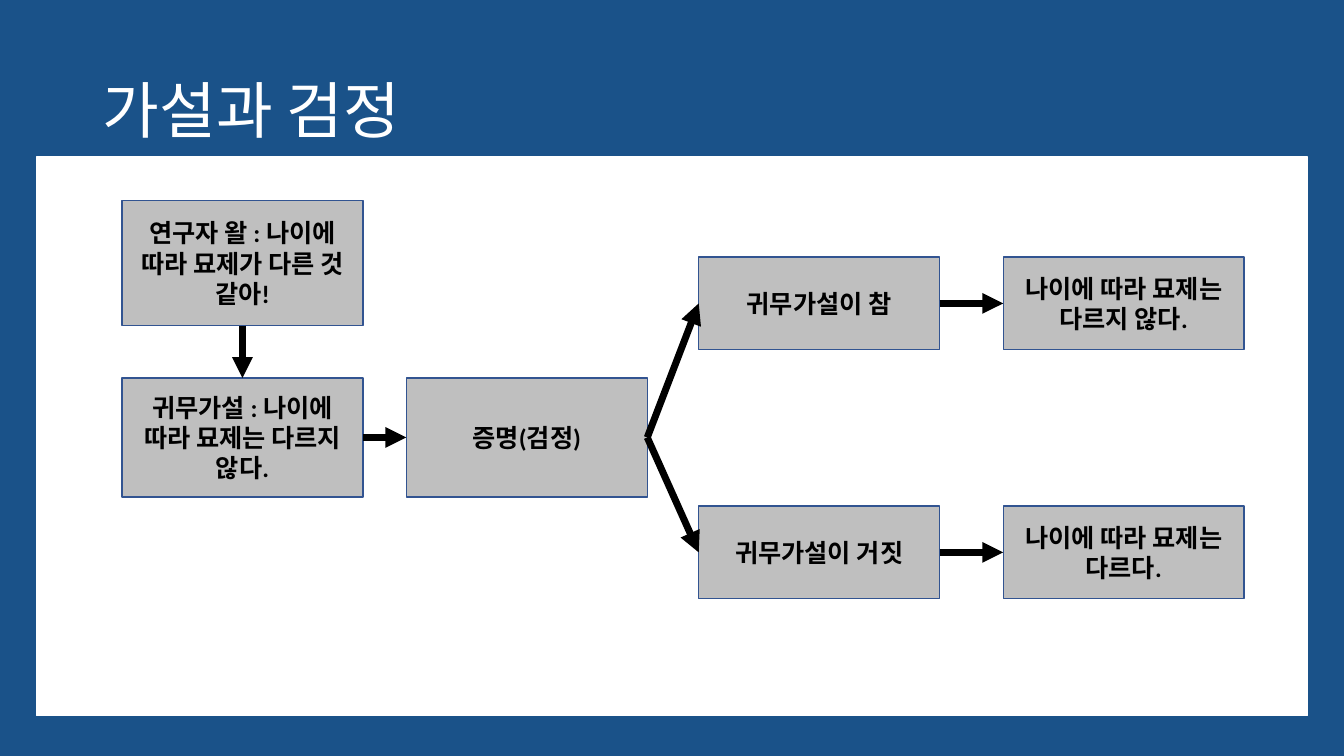
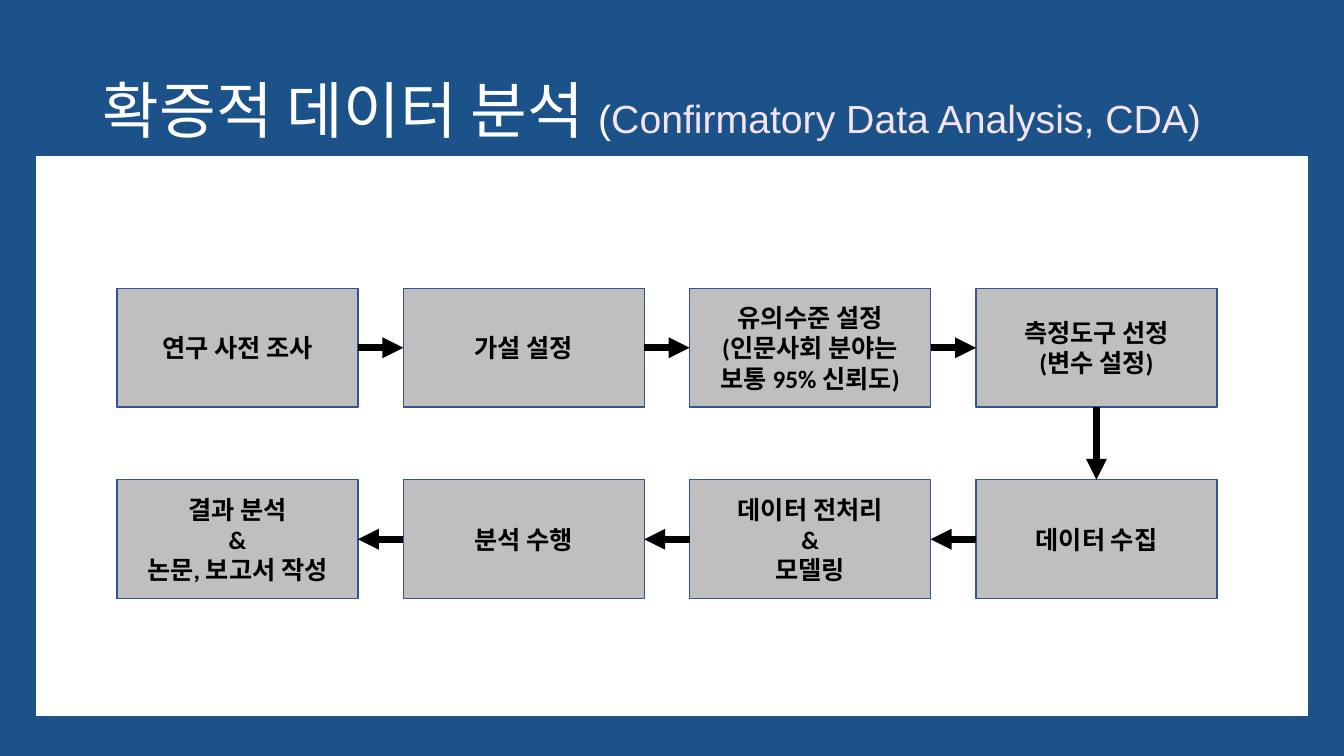
from pptx import Presentation
from pptx.dml.color import RGBColor
from pptx.enum import shapes, text
from pptx.oxml.ns import qn
from pptx.util import Inches, Pt
from lxml import etree

BLUE = RGBColor(0x1A, 0x52, 0x89)
EDGE = RGBColor(0x32, 0x54, 0x91)
GREY = RGBColor(0xBF, 0xBF, 0xBF)
PINK = RGBColor(0xF5, 0xE3, 0xEF)
WHITE = RGBColor(0xFF, 0xFF, 0xFF)
BLACK = RGBColor(0, 0, 0)

TOP, LEFT, BOTTOM, RIGHT = range(4)
WIDE, TALL, LOW = 2.39, 1.18, 0.92

# Title runs: text, size, colour
TEST_TITLE = [("가설과 검정", 44, WHITE)]
FLOW_TITLE = [
    ("확증적 데이터 분석 ", 44, WHITE),
    ("(", 28, WHITE),
    ("Confirmatory Data Analysis, CDA)", 28, PINK),
]

# Boxes: name -> left, top, height, paragraphs
TEST = {
    "claim": (1.21, 1.99, 1.24, ["연구자 왈 : 나이에 따라 묘제가 다른 것 같아!"]),
    "null": (1.21, 3.75, TALL, ["귀무가설 : 나이에 따라 묘제는 다르지 않다."]),
    "proof": (4.03, 3.75, TALL, ["증명(검정)"]),
    "true": (6.93, 2.55, LOW, ["귀무가설이 참"]),
    "false": (6.93, 5.02, LOW, ["귀무가설이 거짓"]),
    "same": (9.95, 2.55, LOW, ["나이에 따라 묘제는 다르지 않다."]),
    "differ": (9.95, 5.02, LOW, ["나이에 따라 묘제는 다르다."]),
}
TEST_LINKS = [
    ("claim", BOTTOM, "null", TOP),
    ("null", RIGHT, "proof", LEFT),
    ("proof", RIGHT, "true", LEFT),
    ("proof", RIGHT, "false", LEFT),
    ("true", RIGHT, "same", LEFT),
    ("false", RIGHT, "differ", LEFT),
]

# Steps in working order: along the upper row, then back along the lower one
STEPS = [
    ["연구 사전 조사"],
    ["가설 설정"],
    ["유의수준 설정", "(인문사회 분야는 보통 95% 신뢰도)"],
    ["측정도구 선정", "(변수 설정)"],
    ["데이터 수집"],
    ["데이터 전처리", "&", "모델링"],
    ["분석 수행"],
    ["결과 분석", "&", "논문, 보고서 작성"],
]
COLS = 4


def snake(steps):
    """Place the steps on two rows and link each one to the next."""
    boxes, links = {}, []
    for i, lines in enumerate(steps):
        row, col = divmod(i, COLS)
        if row:
            col = COLS - 1 - col
        boxes[i] = (1.16 + 2.84 * col, 2.86 + 1.9 * row, TALL, lines)
        if i + 1 < COLS:
            links.append((i, RIGHT, i + 1, LEFT))
        elif i + 1 == COLS:
            links.append((i, BOTTOM, i + 1, TOP))
        elif i + 1 < len(steps):
            links.append((i, LEFT, i + 1, RIGHT))
    return boxes, links


def add_run(para, words, size, color, font, bold=False):
    run = para.add_run()
    run.text = words
    run.font.size = Pt(size)
    run.font.name = font
    run.font.bold = bold
    run.font.color.rgb = color


def add_rect(slide, left, top, wide, high, fill, edge):
    rect = slide.shapes.add_shape(
        shapes.MSO_SHAPE.RECTANGLE,
        Inches(left), Inches(top), Inches(wide), Inches(high))
    rect.shadow.inherit = False
    rect.fill.solid()
    rect.fill.fore_color.rgb = fill
    rect.line.color.rgb = edge
    rect.line.width = Pt(1)
    return rect


def add_box(slide, left, top, high, lines):
    box = add_rect(slide, left, top, WIDE, high, GREY, EDGE)
    frame = box.text_frame
    frame.word_wrap = True
    frame.vertical_anchor = text.MSO_ANCHOR.MIDDLE
    for i, words in enumerate(lines):
        para = frame.add_paragraph() if i else frame.paragraphs[0]
        para.alignment = text.PP_ALIGN.CENTER
        add_run(para, words, 18, BLACK, "Calibri", True)
    return box


def add_arrow(slide, start, out, end, into):
    arrow = slide.shapes.add_connector(
        shapes.MSO_CONNECTOR.STRAIGHT, 0, 0, 0, 0)
    arrow.begin_connect(start, out)
    arrow.end_connect(end, into)
    arrow.line.color.rgb = BLACK
    arrow.line.width = Pt(5)
    props = arrow.line._get_or_add_ln()
    etree.SubElement(props, qn("a:tailEnd"), type="triangle")
    etree.SubElement(arrow._element.spPr, qn("a:effectLst"))


def set_title(slide, runs):
    title = slide.shapes.title
    title.left, title.top = Inches(0.92), Inches(0.4)
    title.width, title.height = Inches(11.5), Inches(1.45)
    frame = title.text_frame
    frame.word_wrap = True
    frame.auto_size = text.MSO_AUTO_SIZE.NONE
    frame.vertical_anchor = text.MSO_ANCHOR.MIDDLE
    para = frame.paragraphs[0]
    para.alignment = text.PP_ALIGN.LEFT
    para.line_spacing = 0.9
    for words, size, color in runs:
        add_run(para, words, size, color, "Arial")


def add_slide(deck, title, boxes, links):
    slide = deck.slides.add_slide(deck.slide_layouts.get_by_name("Title Only"))
    set_title(slide, title)
    add_rect(slide, 0.36, 1.56, 12.61, 5.54, WHITE, WHITE)
    drawn = {name: add_box(slide, *box) for name, box in boxes.items()}
    for start, out, end, into in links:
        add_arrow(slide, drawn[start], out, drawn[end], into)


def main():
    deck = Presentation()
    deck.slide_width, deck.slide_height = Inches(13.33), Inches(7.5)
    back = deck.slide_master.background.fill
    back.solid()
    back.fore_color.rgb = BLUE
    add_slide(deck, TEST_TITLE, TEST, TEST_LINKS)
    add_slide(deck, FLOW_TITLE, *snake(STEPS))
    deck.save("out.pptx")


if __name__ == "__main__":
    main()
